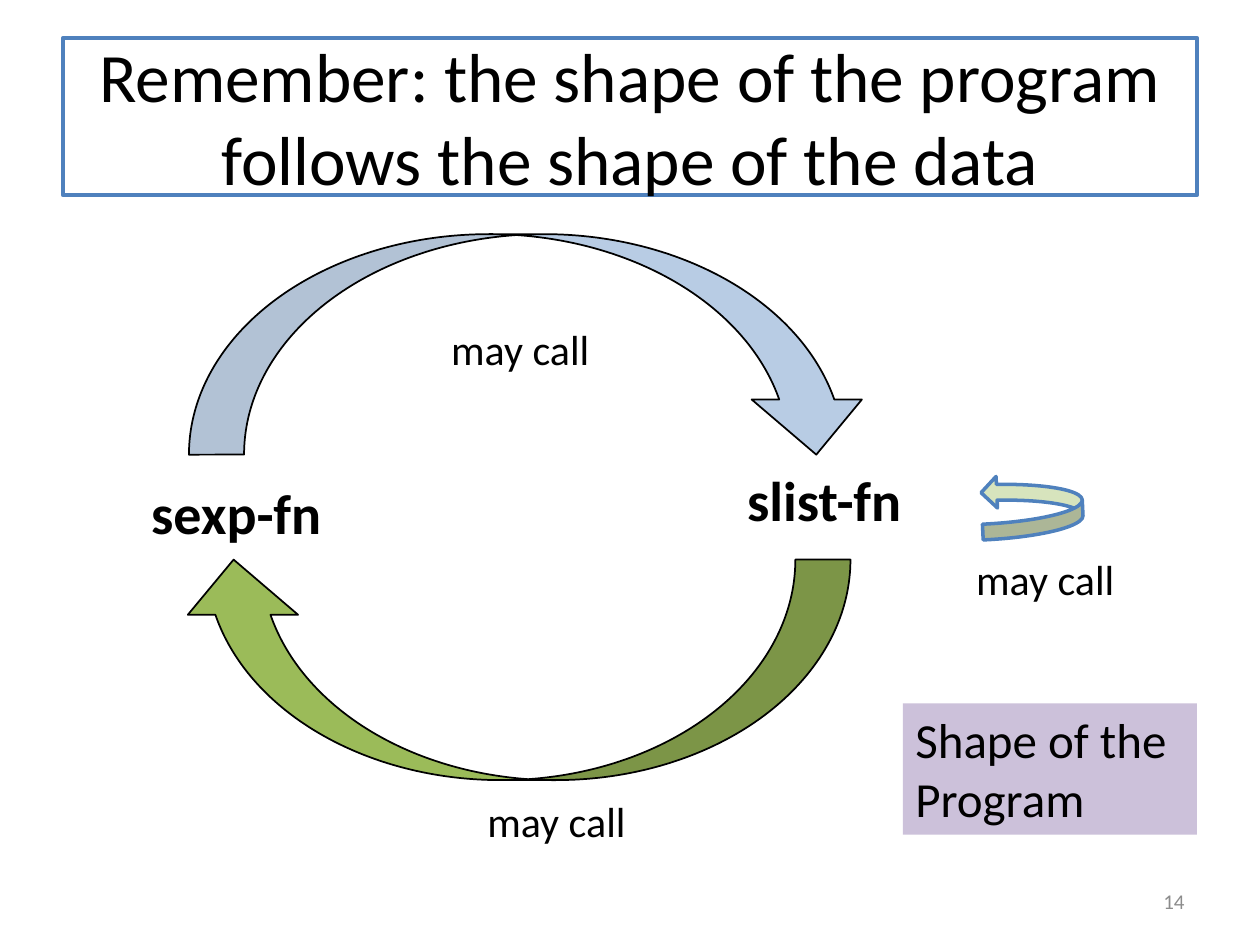
from lxml import etree
from pptx import Presentation
from pptx import util as u
from pptx.dml.color import RGBColor
from pptx.enum import shapes, text
from pptx.oxml.ns import qn

COLUMNS, ROWS = 120, 90  # grid cells of one twelfth of an inch
CELL = u.Inches(1 / 12)
LEFT, CENTER, RIGHT = text.PP_ALIGN.LEFT, text.PP_ALIGN.CENTER, text.PP_ALIGN.RIGHT
TOP, MIDDLE = text.MSO_ANCHOR.TOP, text.MSO_ANCHOR.MIDDLE


def color(value):
    return RGBColor.from_string(value)


class Page:
    font = "Calibri"
    ink = "000000"

    def __init__(self, deck):
        self.slide = deck.slides.add_slide(deck.slide_layouts[5])

    def area(self, *cells):
        return [round(cell * CELL) for cell in cells]

    def paint(self, shape, fill, line=None, width=1, alpha=None):
        shape.fill.solid()
        shape.fill.fore_color.rgb = color(fill)
        if alpha is not None:
            tint = shape._element.spPr.find(qn("a:solidFill"))[0]
            etree.SubElement(tint, qn("a:alpha")).set("val", str(alpha * 1000))
        if line:
            shape.line.color.rgb = color(line)
            shape.line.width = u.Pt(width)
        else:
            shape.line.fill.background()

    def set_text(self, shape, words, size, align=CENTER, anchor=TOP, bold=False, ink=ink):
        frame = shape.text_frame
        frame.word_wrap = True
        frame.auto_size = text.MSO_AUTO_SIZE.NONE
        frame.vertical_anchor = anchor
        frame.text = words
        para = frame.paragraphs[0]
        para.alignment = align
        para.font.name, para.font.size, para.font.bold = self.font, u.Pt(size), bold
        para.font.color.rgb = color(ink)

    def title(self, cells, words, size):
        box = self.slide.shapes.title
        box.left, box.top, box.width, box.height = self.area(*cells)
        self.paint(box, "FFFFFF", "4F81BD", 2.25)
        self.set_text(box, words, size, anchor=MIDDLE)

    def label(self, cells, words, size, **style):
        box = self.slide.shapes.add_textbox(*self.area(*cells))
        self.set_text(box, words, size, **style)

    def panel(self, cells, words, size, fill):
        box = self.slide.shapes.add_shape(shapes.MSO_SHAPE.RECTANGLE, *self.area(*cells))
        box.shadow.inherit = False
        self.paint(box, fill)
        self.set_text(box, words, size, align=LEFT)

    def arrow(self, kind, cells, fill, line, width=1, alpha=None, turn=0, flipped=False):
        arrow = self.slide.shapes.add_shape(kind, *self.area(*cells))
        arrow.shadow.inherit = False
        arrow.rotation = turn
        if flipped:
            for side in ("flipH", "flipV"):
                arrow._element.spPr.xfrm.set(side, "1")
        self.paint(arrow, fill, line, width, alpha)


def main():
    deck = Presentation()
    deck.slide_width, deck.slide_height = COLUMNS * CELL, ROWS * CELL
    page = Page(deck)

    page.title((6, 3.6, 108, 15),
               "Remember: the shape of the program follows the shape of the data", 39.6)

    # Calls between the two functions, and the self-call
    down, up = shapes.MSO_SHAPE.CURVED_DOWN_ARROW, shapes.MSO_SHAPE.CURVED_UP_ARROW
    page.arrow(down, (18, 22.3, 65, 21), "4F81BD", "000000", alpha=40)
    page.arrow(down, (17, 53.3, 64, 21), "9BBB59", "000000", flipped=True)
    page.arrow(up, (95.3, 43.4, 6, 9.6), "D7E4BD", "4F81BD", width=2, turn=267.4)
    page.label((32, 30.2, 36, 6), "may call ", 24)
    page.label((35, 75.2, 36, 6), "may call", 24)
    page.label((89.5, 52.1, 21, 6), "may call ", 24)

    # Function names
    page.label((12.5, 45, 20, 7.7), "sexp-fn", 32, bold=True)
    page.label((68, 43.7, 21, 7.7), "slist-fn", 32, bold=True)

    # Caption and page number
    page.panel((86, 67, 28, 12.5), "Shape of the Program", 28, "CCC1DA")
    page.label((86, 83.4, 28, 4.8), "14", 12, align=RIGHT, anchor=MIDDLE, ink="8C8C8C")

    deck.save("out.pptx")


if __name__ == "__main__":
    main()
